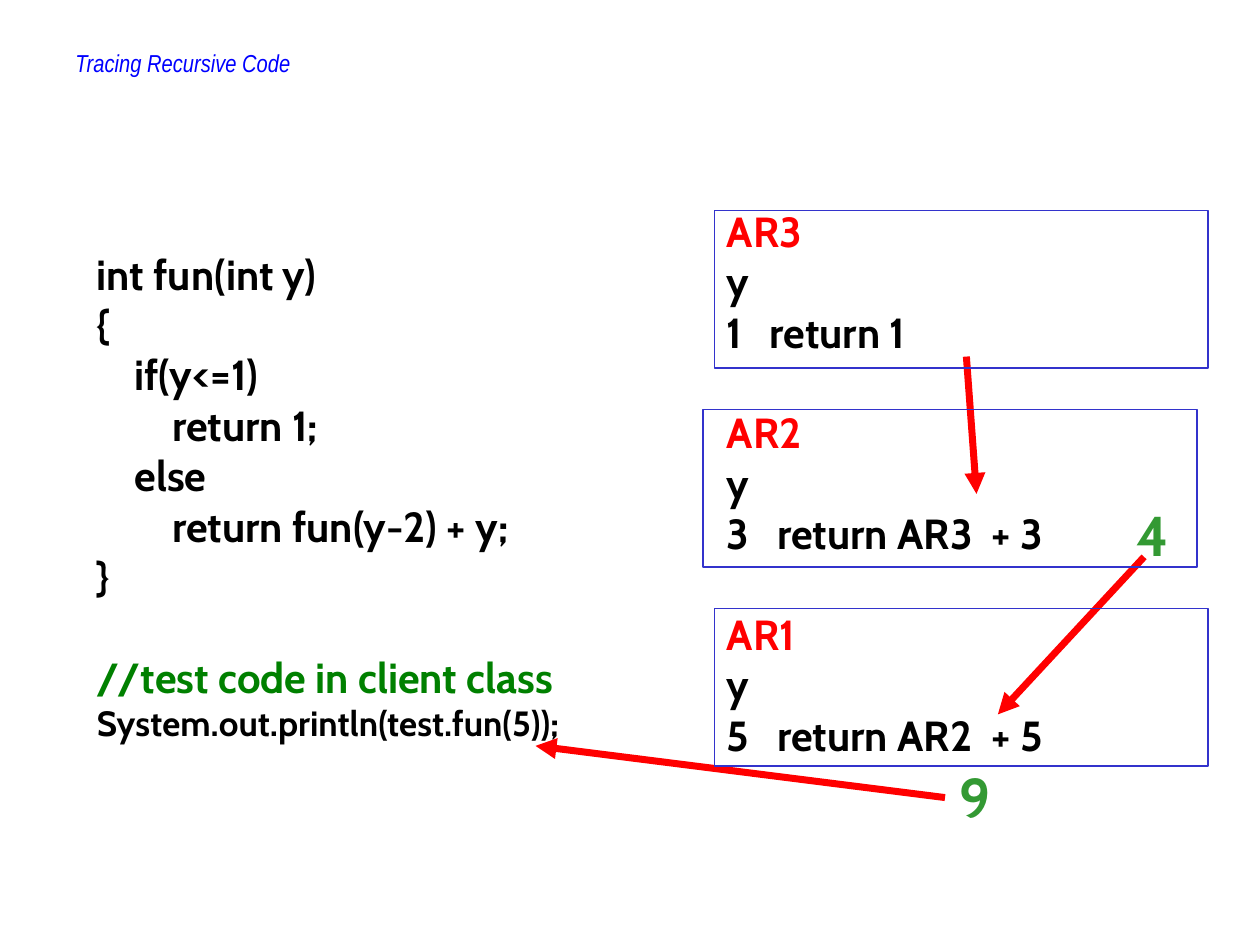
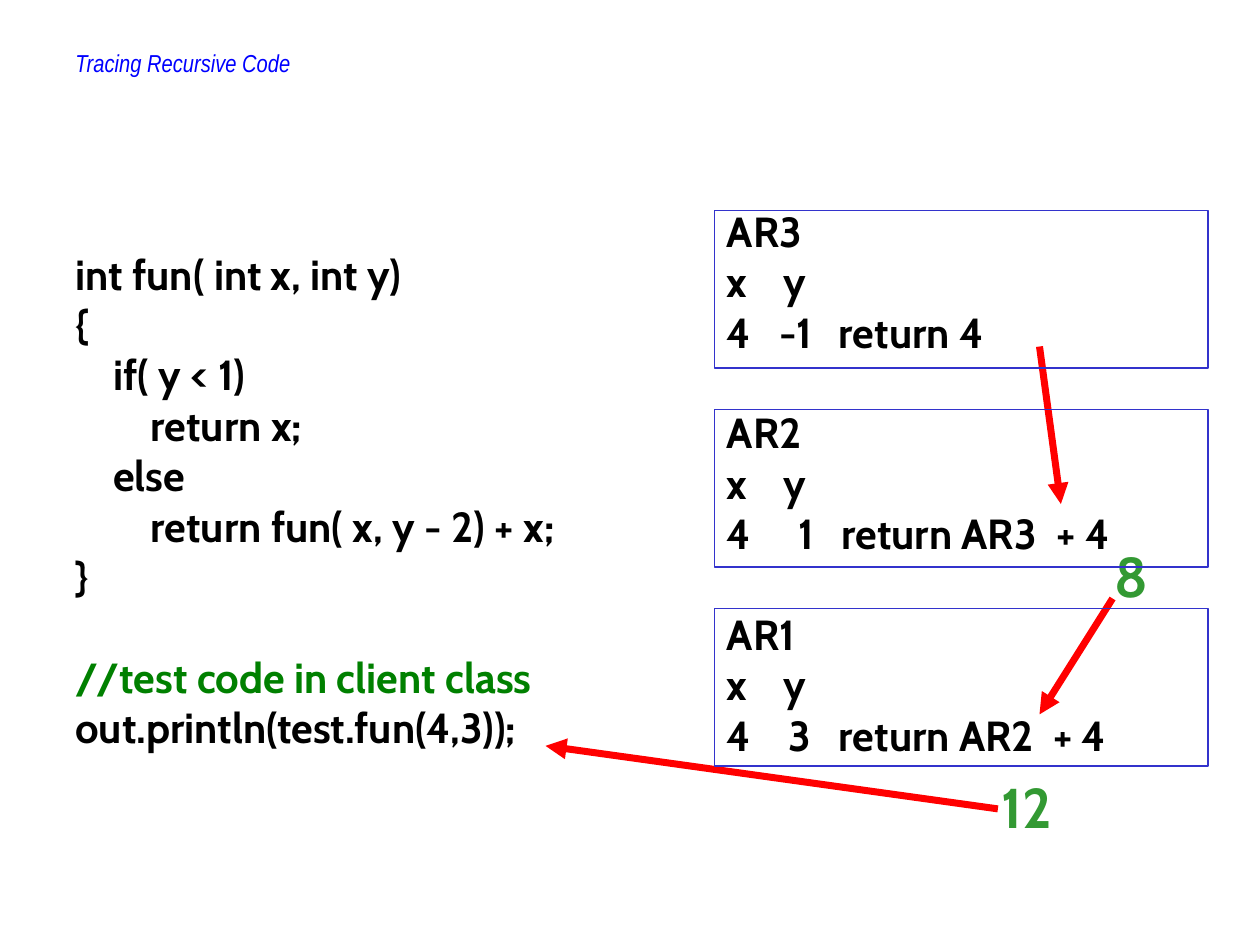
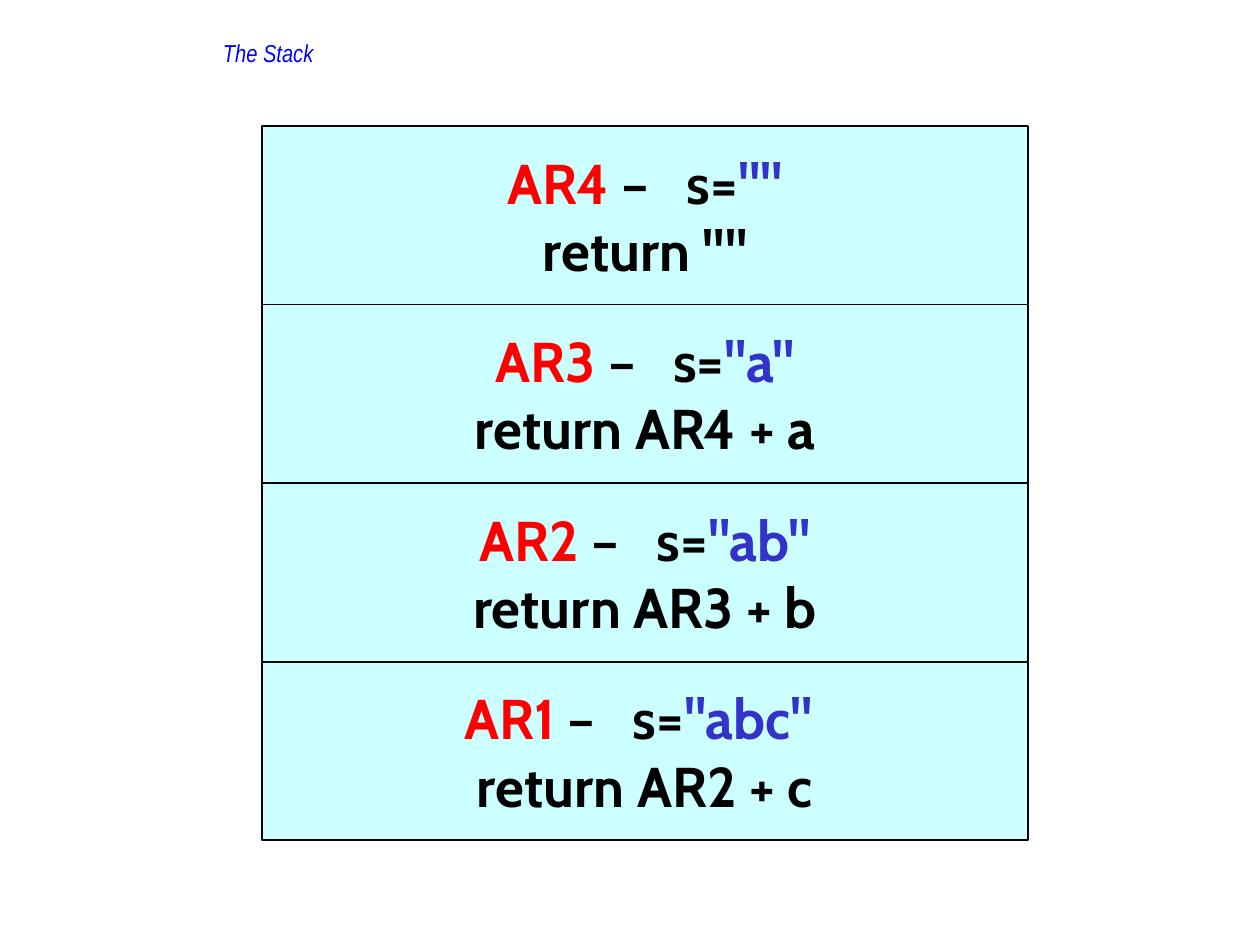
from lxml import etree
from pptx import Presentation
from pptx.dml.color import RGBColor
from pptx.enum.shapes import MSO_CONNECTOR, MSO_SHAPE
from pptx.enum.text import MSO_ANCHOR, MSO_AUTO_SIZE, PP_ALIGN
from pptx.oxml.ns import qn
from pptx.util import Inches, Pt

# Colours
BLUE = RGBColor(0x00, 0x00, 0xFF)
INDIGO = RGBColor(0x33, 0x33, 0xCC)
RED = RGBColor(0xFF, 0x00, 0x00)
BLACK = RGBColor(0x00, 0x00, 0x00)
COMMENT = RGBColor(0x00, 0x80, 0x00)
RESULT = RGBColor(0x33, 0x99, 0x33)
CYAN = RGBColor(0xCC, 0xFF, 0xFF)

# Text formats
TITLE = dict(name="Arial Narrow", size=Pt(14), italic=True, color=BLUE)
BODY = dict(name="Cabin", size=Pt(24), bold=True, color=BLACK)
BIG = {**BODY, "size": Pt(32)}
LINE_GAP = Pt(28.8)     # one line of body text
WORD_GAP = "1400"       # widens the space before "s=", in 1/100 pt

# Grid
RECORD_X, RECORD_Y, RECORD_PITCH = 5.67, 1.67, 1.58
RECORD_W, RECORD_H = 3.92, 1.25
STACK_X, STACK_Y, STACK_W, STACK_H = 2.08, 1, 6.08, 5.67


class Deck:
    def __init__(self):
        self.prs = Presentation()
        self.prs.slide_width, self.prs.slide_height = Inches(10), Inches(7.5)

    def new_slide(self):
        self.s = self.prs.slides.add_slide(self.prs.slide_layouts[6])

    def run(self, p, text, fmt):
        r = p.add_run()
        r.text = text
        for key, value in fmt.items():
            if key == "color":
                r.font.color.rgb = value
            else:
                setattr(r.font, key, value)
        return r

    def text(self, x, y, w, h, lines, base):
        """Each line is (text, format changes, tab stops, space before)."""
        sp = self.s.shapes.add_textbox(*map(Inches, (x, y, w, h)))
        tf = sp.text_frame
        tf.word_wrap = True
        tf.auto_size = MSO_AUTO_SIZE.SHAPE_TO_FIT_TEXT
        for i, (text, fmt, stops, before) in enumerate(lines):
            p = tf.paragraphs[0] if i == 0 else tf.add_paragraph()
            if before and i:
                p.space_before = before
            if stops:
                tabs = etree.SubElement(p._p.get_or_add_pPr(), qn("a:tabLst"))
                for stop in stops:
                    etree.SubElement(tabs, qn("a:tab"), pos=str(Inches(stop)), algn="l")
            self.run(p, text, {**base, **fmt})

    def title(self, text, x=0.5, y=0.33, w=8.83, h=1):
        self.text(x, y, w, h, [(text, {}, (), 0)], TITLE)

    def code(self, x, w, source, call, call_size):
        lines = [(line, {}, (), 0) for line in source.splitlines()]
        lines += [("//test code in client class", {"color": COMMENT}, (), LINE_GAP),
                  (call, {"size": call_size}, (), 0)]
        self.text(x, 1.92, w, 4.05, lines, BODY)

    def records(self, names, name_stops, values, head_color):
        """Activation records from AR3 down to AR1."""
        lines = []
        for number, (value, stops) in zip((3, 2, 1), values):
            lines += [(f"AR{number}", {"color": head_color}, (), LINE_GAP),
                      (names, {}, name_stops, 0),
                      (value, {}, stops, 0)]
        self.text(RECORD_X, 1.58, 3.91, 4.49, lines, BODY)

    def result(self, x, y, text):
        self.text(x, y, 0.8, 0.63, [(text, {}, (), 0)], {**BIG, "color": RESULT})

    def arrow(self, x1, y1, x2, y2):
        ln = self.s.shapes.add_connector(
            MSO_CONNECTOR.STRAIGHT, *map(Inches, (x1, y1, x2, y2)))
        ln.line.color.rgb, ln.line.width = RED, Pt(4)
        etree.SubElement(ln.line._get_or_add_ln(), qn("a:tailEnd"), type="triangle")
        etree.SubElement(ln._element.spPr, qn("a:effectLst"))

    def rect(self, x, y, w, h, line, fill=None):
        sp = self.s.shapes.add_shape(MSO_SHAPE.RECTANGLE, *map(Inches, (x, y, w, h)))
        sp.shadow.inherit = False
        sp.line.color.rgb, sp.line.width = line, Pt(1)
        if fill is None:
            sp.fill.background()
        else:
            sp.fill.solid()
            sp.fill.fore_color.rgb = fill
        return sp

    def frames(self, lefts):
        for i, x in enumerate(lefts):
            self.rect(x, RECORD_Y + i * RECORD_PITCH, RECORD_W, RECORD_H, INDIGO)

    def stack_cell(self, y, h, name, value, returned):
        tf = self.rect(STACK_X, y, STACK_W, h, BLACK, CYAN).text_frame
        tf.word_wrap, tf.vertical_anchor = True, MSO_ANCHOR.MIDDLE
        p = tf.paragraphs[0]
        self.run(p, name, {**BIG, "color": RED})
        self.run(p, " –", BIG)
        self.run(p, " ", BIG)._r.get_or_add_rPr().set("spc", WORD_GAP)
        self.run(p, "s=", BIG)
        self.run(p, value, {**BIG, "color": INDIGO})
        self.run(tf.add_paragraph(), f"return {returned}", BIG)
        for p in tf.paragraphs:
            p.alignment = PP_ALIGN.CENTER


ONE_ARGUMENT = """int fun(int y)
{
    if(y<=1)
        return 1;
    else
        return fun(y-2) + y;
}"""

TWO_ARGUMENTS = """int fun( int x, int y)
{
    if( y < 1)
        return x;
    else
        return fun( x, y - 2) + x;
}"""


def main():
    d = Deck()

    # Slide 1: recursion on one argument
    d.new_slide()
    d.title("Tracing Recursive Code")
    d.code(0.67, 4.66, ONE_ARGUMENT, "System.out.println(test.fun(5));", Pt(20))
    d.records("y", (), [("1\treturn 1", (0.34,)),
                        ("3\treturn AR3\t+ 3", (0.4, 2.1)),
                        ("5\treturn AR2\t+ 5", (0.4, 2.1))], RED)
    d.arrow(9.08, 4.42, 7.92, 5.67)
    d.arrow(7.67, 2.83, 7.75, 3.92)
    d.result(8.92, 3.92, "4")
    d.result(7.52, 6, "9")
    d.arrow(7.5, 6.33, 4.25, 5.92)
    d.frames((RECORD_X, 5.58, RECORD_X))

    # Slide 2: recursion on two arguments
    d.new_slide()
    d.title("Tracing Recursive Code")
    d.code(0.5, 5.02, TWO_ARGUMENTS, "out.println(test.fun(4,3));", Pt(24))
    d.records("x\ty", (0.45,), [("4\t-1\treturn 4", (0.42, 0.89)),
                                ("4\t1\treturn AR3\t+ 4", (0.57, 0.91, 2.62)),
                                ("4\t3\treturn AR2\t+ 4", (0.49, 0.89, 2.59))], BLACK)
    d.arrow(8.83, 4.75, 8.25, 5.67)
    d.arrow(8.25, 2.75, 8.42, 4)
    d.result(8.75, 4.25, "8")
    d.result(7.85, 6.08, "12")
    d.arrow(7.92, 6.42, 4.33, 5.92)
    d.frames([RECORD_X] * 3)

    # Slide 3: the stack, drawn from the bottom up
    d.new_slide()
    d.title("The Stack", 1.67, 0.25, 6.67, 0.58)
    cells = [("AR1", '"abc" ', "AR2 + c"), ("AR2", '"ab"', "AR3 + b"),
             ("AR3", '"a"', "AR4 + a"), ("AR4", '""', '""')]
    h = STACK_H / len(cells)
    for i, cell in enumerate(cells, 1):
        d.stack_cell(STACK_Y + STACK_H - i * h, h, *cell)

    d.prs.save("out.pptx")


if __name__ == "__main__":
    main()
